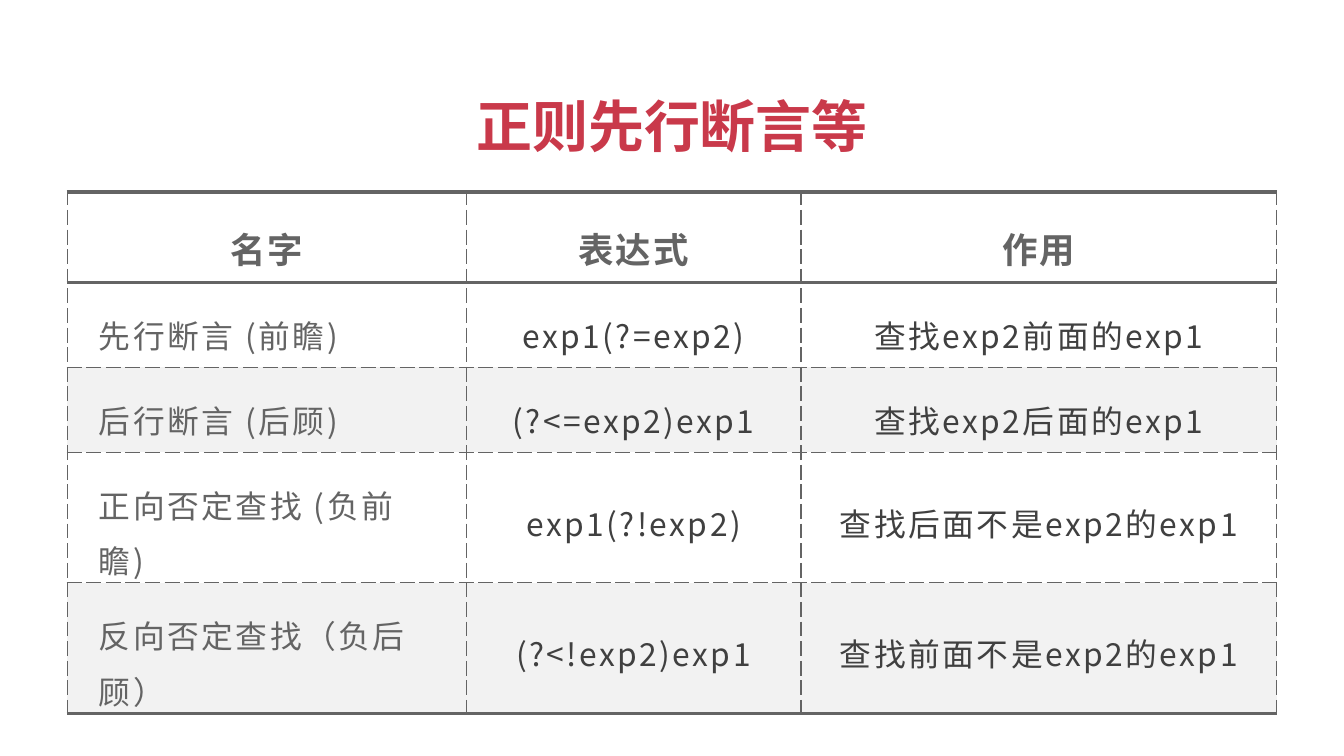
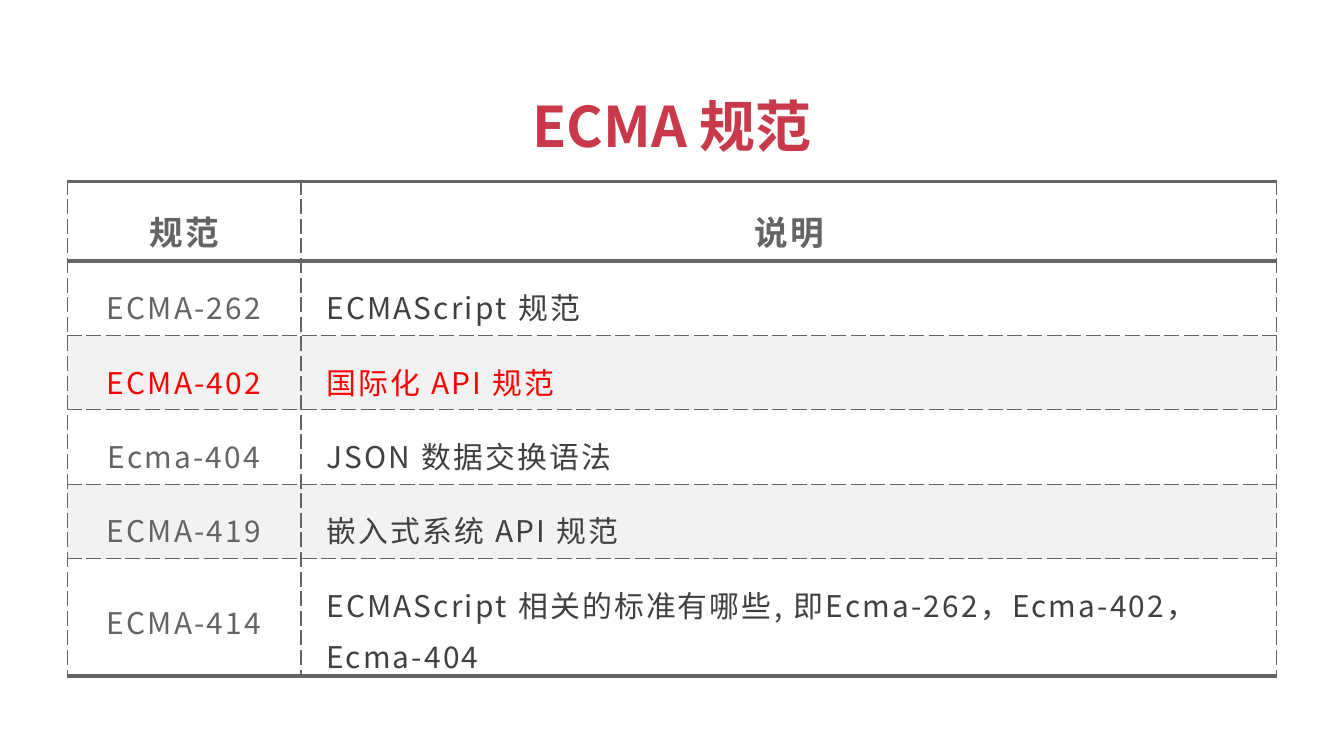
from dataclasses import dataclass

from lxml import etree
from pptx import Presentation
from pptx.dml.color import RGBColor
from pptx.enum.text import MSO_ANCHOR, MSO_AUTO_SIZE, PP_ALIGN
from pptx.oxml.ns import qn
from pptx.util import Inches, Pt

MIDDLE = MSO_ANCHOR.MIDDLE
GROW = MSO_AUTO_SIZE.SHAPE_TO_FIT_TEXT
LEFT, CENTER = PP_ALIGN.LEFT, PP_ALIGN.CENTER
WIDE = 10
TALL = WIDE * 9 / 16


@dataclass(frozen=True)
class Theme:
    face: str = "Noto Sans CJK SC"
    title: str = "C9394A"
    line: str = "646464"
    body: str = "404040"
    alert: str = "FF0000"
    plain: str = "FFFFFF"
    band: str = "F2F2F2"
    title_size: int = 30
    thin: float = 0.75
    thick: float = 2.25
    leading: float = 1.2


THEME = Theme()

# Sizes, letter gaps and cell pads are in points.
LOOK = {
    "title": dict(top=0.63, height=0.6),
    "asserts": dict(head=19, size=17, head_gap=1.3, gap=1.3, pad=(17, 10.5),
                    aligns=(LEFT, CENTER, CENTER)),
    "specs": dict(head=18, size=16, head_gap=1.3, gap=1.2, pad=(13.6, 8.4),
                  aligns=(CENTER, LEFT)),
}

ASSERTS = [
    ("名字", "表达式", "作用"),
    ("先行断言 (前瞻)", "exp1(?=exp2)", "查找exp2前面的exp1"),
    ("后行断言 (后顾)", "(?<=exp2)exp1", "查找exp2后面的exp1"),
    ("正向否定查找 (负前瞻)", "exp1(?!exp2)", "查找后面不是exp2的exp1"),
    ("反向否定查找（负后顾）", "(?<!exp2)exp1", "查找前面不是exp2的exp1"),
]
SPECS = [
    ("规范", "说明"),
    ("ECMA-262", "ECMAScript 规范"),
    ("ECMA-402", "国际化 API 规范"),
    ("Ecma-404", "JSON 数据交换语法"),
    ("ECMA-419", "嵌入式系统 API 规范"),
    ("ECMA-414", "ECMAScript 相关的标准有哪些, 即Ecma-262，Ecma-402，Ecma-404"),
]


def assign(item, values):
    for name, value in values.items():
        setattr(item, name, value)


def write(frame, text, size, color, bold=False, align=CENTER, gap=0, leading=None):
    para = frame.paragraphs[0]
    assign(para, dict(alignment=align, line_spacing=leading))
    run = para.add_run()
    run.text = text
    assign(run.font, dict(name=THEME.face, size=Pt(size), bold=bold))
    run.font.color.rgb = RGBColor.from_string(color)
    props = run.font._element
    if gap:
        props.set("spc", str(round(gap * 100)))
    etree.SubElement(props, qn("a:ea"), typeface=THEME.face)


def edge(cell, top, base):
    """Draw dashed sides, and a heavy top or base rule where asked."""
    props = cell._tc.get_or_add_tcPr()
    sides = {"L": False, "R": False, "T": top, "B": base}
    for place, (side, heavy) in enumerate(sides.items()):
        width = Pt(THEME.thick if heavy else THEME.thin)
        line = etree.Element(qn(f"a:ln{side}"), w=str(width))
        fill = etree.SubElement(line, qn("a:solidFill"))
        etree.SubElement(fill, qn("a:srgbClr"), val=THEME.line)
        etree.SubElement(line, qn("a:prstDash"), val="solid" if heavy else "sysDash")
        props.insert(place, line)


def add_title(slide, text, width):
    look = LOOK["title"]
    box = slide.shapes.add_textbox(Inches((WIDE - width) / 2), Inches(look["top"]),
                                   Inches(width), Inches(look["height"]))
    assign(box.text_frame, dict(word_wrap=False, auto_size=GROW))
    write(box.text_frame, text, THEME.title_size, THEME.title, bold=True)


def add_grid(slide, data, box, cols, rows, look, alert=None):
    """Fill the box with a table; cols are shares of its width, rows are heights."""
    left, top, width = box
    table = slide.shapes.add_table(
        len(data), len(cols), Inches(left), Inches(top),
        Inches(width), Inches(sum(rows))).table
    for col, share in zip(table.columns, cols):
        col.width = Inches(width * share / sum(cols))
    for row, height in zip(table.rows, rows):
        row.height = Inches(height)
    side, cap = map(Pt, look["pad"])
    pads = dict(margin_left=side, margin_right=side, margin_top=cap,
                margin_bottom=cap, vertical_anchor=MIDDLE)
    last = len(data) - 1
    for r, words in enumerate(data):
        head = r == 0
        shade = THEME.band if r and r % 2 == 0 else THEME.plain
        for c, text in enumerate(words):
            cell = table.cell(r, c)
            assign(cell, pads)
            cell.fill.solid()
            cell.fill.fore_color.rgb = RGBColor.from_string(shade)
            edge(cell, top=r < 2, base=r in (0, last))
            color = THEME.line if head or c == 0 else THEME.body
            write(cell.text_frame, text,
                  size=look["head" if head else "size"],
                  color=THEME.alert if r == alert else color,
                  bold=head,
                  align=CENTER if head else look["aligns"][c],
                  gap=look["head_gap" if head else "gap"],
                  leading=THEME.leading)


def asserts_slide(slide):
    add_title(slide, "正则先行断言等", 3.12)
    add_grid(slide, ASSERTS, (0.05 * WIDE, 1.43, 0.9 * WIDE), (2.97, 2.49, 3.54),
             (0.67, *[0.63] * 3, 0.97), LOOK["asserts"])


def specs_slide(slide):
    add_title(slide, "ECMA 规范", 2.42)
    add_grid(slide, SPECS, (0.05 * WIDE, 1.35, 0.9 * WIDE), (1.74, 7.26),
             (0.59, *[0.55] * 4, 0.87), LOOK["specs"], alert=2)


def main():
    deck = Presentation()
    assign(deck, dict(slide_width=Inches(WIDE), slide_height=Inches(TALL)))
    blank = deck.slide_layouts[6]
    for build in (asserts_slide, specs_slide):
        build(deck.slides.add_slide(blank))
    deck.save("out.pptx")


if __name__ == "__main__":
    main()
